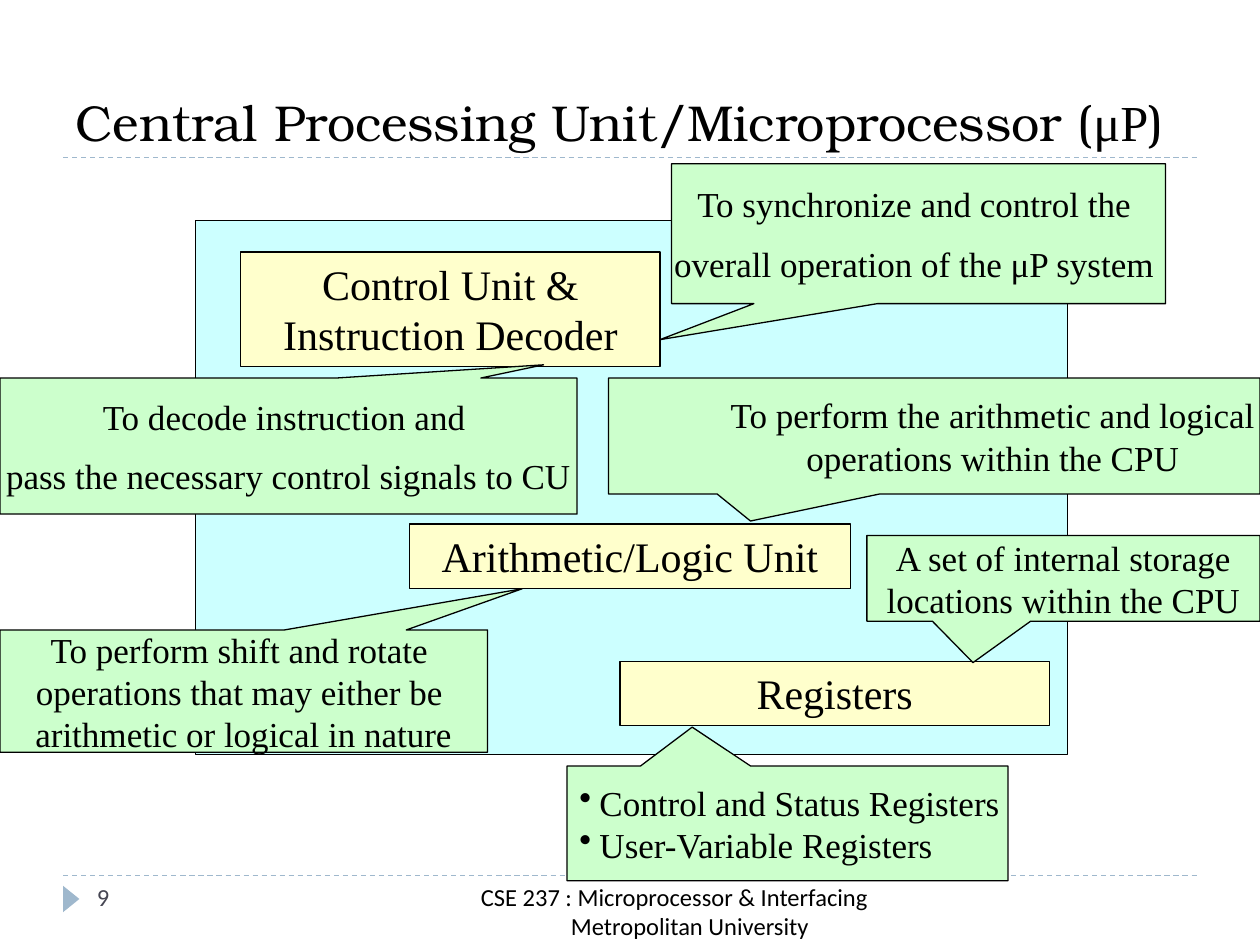
from lxml.etree import SubElement
from pptx import Presentation
from pptx.dml.color import RGBColor
from pptx.enum.dml import MSO_LINE
from pptx.enum.shapes import MSO_CONNECTOR, MSO_SHAPE
from pptx.enum.text import MSO_ANCHOR, MSO_AUTO_SIZE, PP_ALIGN
from pptx.oxml.ns import qn
from pptx.util import Inches, Pt

COLORS = {"rule": "9FB8CD", "number": "464653", "text": "000000",
          "cpu": "CCFFFF", "unit": "FFFFCC", "callout": "CCFFCC"}
SERIF, SANS, TITLE = "Times New Roman", "Calibri", "TeX Gyre Bonum"

UNITS = [  # text, box
    ("Control Unit & Instruction Decoder", (1.91, 2, 3.33, 0.91)),
    ("Arithmetic/Logic Unit", (3.25, 4.16, 3.5, 0.51)),
    ("Registers", (4.92, 5.25, 3.41, 0.51)),
]
CALLOUTS = [  # lines, box, pointer tip, paragraph options
    (["To decode instruction and ", "pass the necessary control signals to CU"],
     (0, 3, 4.58, 1.08), (0.442, -0.597), {"gap": 10}),
    (["To synchronize and control the ", "overall operation of the μP system "],
     (5.33, 1.3, 3.92, 1.11), (-0.524, 0.758), {"gap": 10}),
    (["To perform the arithmetic and logical ", "operations within the CPU "],
     (4.83, 3, 5.17, 0.92), (-0.282, 0.734), {"indent": 1}),
    (["To perform shift and rotate ", "operations that may either be ",
      "arithmetic or logical in nature"],
     (0, 5, 3.87, 0.97), (0.571, -0.837), {}),
    (["Control and Status Registers", "User-Variable Registers"],
     (4.5, 6.08, 3.5, 0.91), (-0.216, -0.84), {"bullet": "•"}),
    (["A set of internal storage", "locations within the CPU"],
     (6.88, 4.25, 3.12, 0.68), (-0.23, 0.984), {}),
]


def rgb(name):
    return RGBColor.from_string(COLORS[name])


def inches(box):
    return [Inches(v) for v in box]


def add_run(p, text, size, font, color="text"):
    r = p.add_run()
    r.text = text
    for name, value in {"size": Pt(size), "name": font, "bold": False}.items():
        setattr(r.font, name, value)
    r.font.color.rgb = rgb(color)


def indent(p, left, first=0):
    pPr = p._p.get_or_add_pPr()
    pPr.set("marL", str(Inches(left)))
    pPr.set("indent", str(Inches(first)))
    return pPr


def write_lines(tf, lines, size, font, color="text", align=PP_ALIGN.CENTER, gap=0):
    for i, line in enumerate(lines):
        p = tf.paragraphs[0] if i == 0 else tf.add_paragraph()
        p.alignment = align
        p.space_before = Pt(gap if i else 0)
        add_run(p, line, size, font, color)


def add_box(s, kind, box, fill, outlined=True):
    sp = s.shapes.add_shape(kind, *inches(box))
    sp.shadow.inherit = False
    sp.fill.solid()
    sp.fill.fore_color.rgb = rgb(fill)
    if outlined:
        sp.line.color.rgb = rgb("text")
        sp.line.width = Pt(0.75)
    else:
        sp.line.fill.background()
    return sp


def add_rule(s, y):
    line = s.shapes.add_connector(MSO_CONNECTOR.STRAIGHT, *inches((0.5, y, 9.5, y)))
    line.line.color.rgb = rgb("rule")
    line.line.width = Pt(0.75)
    line.line.dash_style = MSO_LINE.DASH
    SubElement(line._element.spPr, qn("a:effectLst"))


def add_title(s):
    title = s.shapes.title
    for name, value in zip(("left", "top", "width", "height"), inches((0.5, 0.17, 9, 1.08))):
        setattr(title, name, value)
    tf = title.text_frame
    for name, value in {"auto_size": MSO_AUTO_SIZE.NONE, "word_wrap": True,
                        "vertical_anchor": MSO_ANCHOR.BOTTOM}.items():
        setattr(tf, name, value)
    p = tf.paragraphs[0]
    p.alignment = PP_ALIGN.LEFT
    for text, font in (("Central Processing Unit/Microprocessor (", TITLE),
                       ("μP", SERIF), (")", TITLE)):
        add_run(p, text, 28.8, font)


def add_unit(s, text, box):
    tf = add_box(s, MSO_SHAPE.RECTANGLE, box, "unit").text_frame
    tf.word_wrap = True
    tf.vertical_anchor = MSO_ANCHOR.TOP
    write_lines(tf, [text], 24, SERIF)


def add_callout(s, lines, box, tip, options):
    sp = add_box(s, MSO_SHAPE.RECTANGULAR_CALLOUT, box, "callout")
    sp.adjustments[0], sp.adjustments[1] = tip
    tf = sp.text_frame
    tf.word_wrap = False
    tf.vertical_anchor = MSO_ANCHOR.MIDDLE
    bullet = options.get("bullet")
    write_lines(tf, lines, 20, SERIF, gap=options.get("gap", 0),
                align=PP_ALIGN.LEFT if bullet else PP_ALIGN.CENTER)
    for p in tf.paragraphs:
        if bullet:
            SubElement(indent(p, 0.16, -0.16), qn("a:buChar")).set("char", bullet)
        elif "indent" in options:
            indent(p, options["indent"])


def add_text(s, lines, box, color, align):
    tf = s.shapes.add_textbox(*inches(box)).text_frame
    tf.word_wrap = True
    write_lines(tf, lines, 14, SANS, color, align)
    return tf


def main():
    prs = Presentation()
    prs.slide_width, prs.slide_height = Inches(10), Inches(7.5)
    s = prs.slides.add_slide(prs.slide_layouts[5])

    # Rules, page marker and title
    for y in (6.95, 1.25):
        add_rule(s, y)
    marker = add_box(s, MSO_SHAPE.ISOSCELES_TRIANGLE, (0.46, 7.07, 0.21, 0.13), "rule", False)
    marker.rotation = 90
    add_title(s)
    add_text(s, ["9"], (0.67, 6.95, 2.17, 0.4), "number", PP_ALIGN.LEFT)

    # CPU with its units and their callouts
    add_box(s, MSO_SHAPE.RECTANGLE, (1.55, 1.75, 6.92, 4.24), "cpu")
    for unit in UNITS:
        add_unit(s, *unit)
    for callout in CALLOUTS:
        add_callout(s, *callout)

    # Footer
    footer = add_text(s, ["CSE 237 : Microprocessor & Interfacing ", "Metropolitan University"],
                      (2, 6.95, 6.75, 0.4), "text", PP_ALIGN.CENTER)
    indent(footer.paragraphs[1], 0.2)

    prs.save("out.pptx")


if __name__ == "__main__":
    main()
